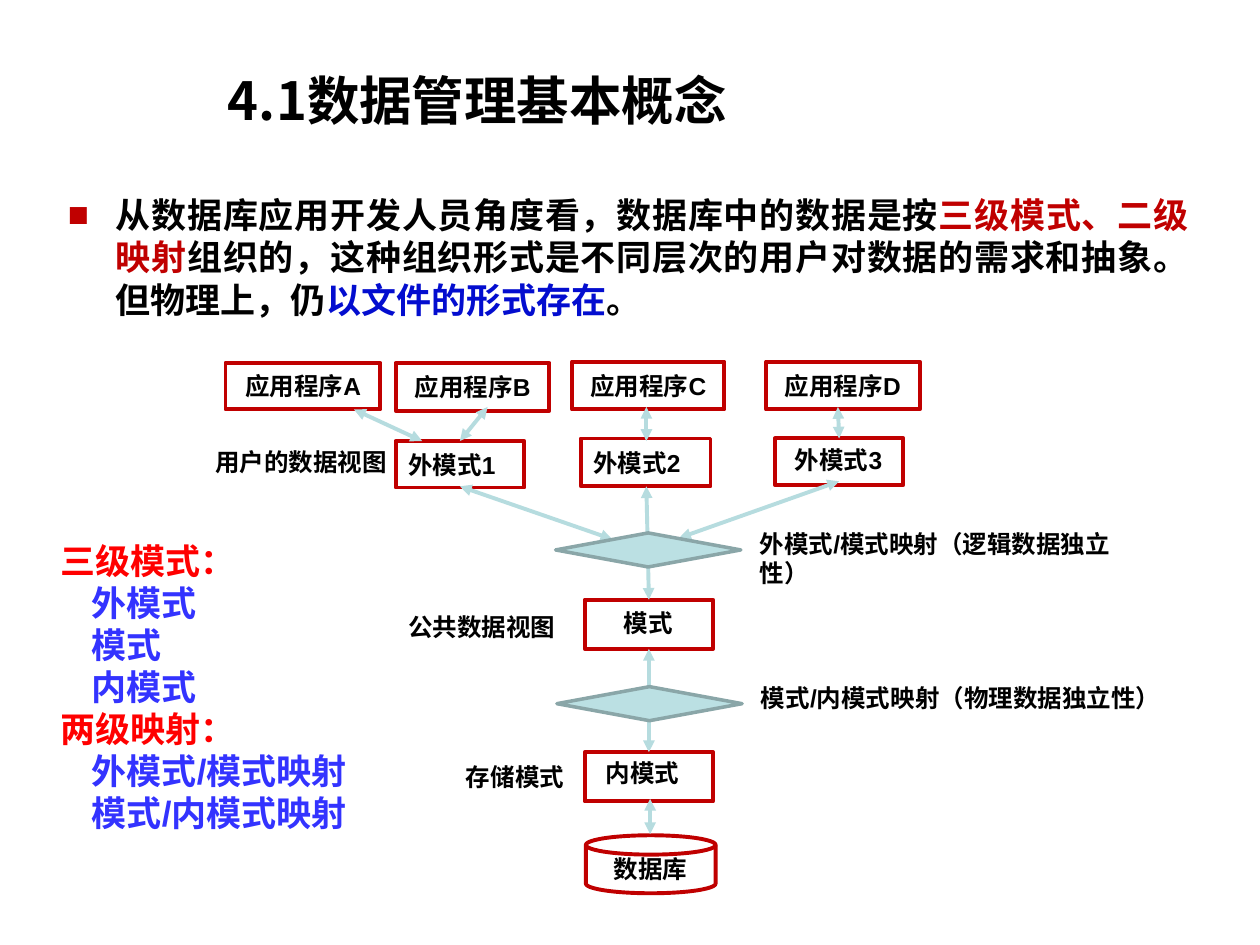
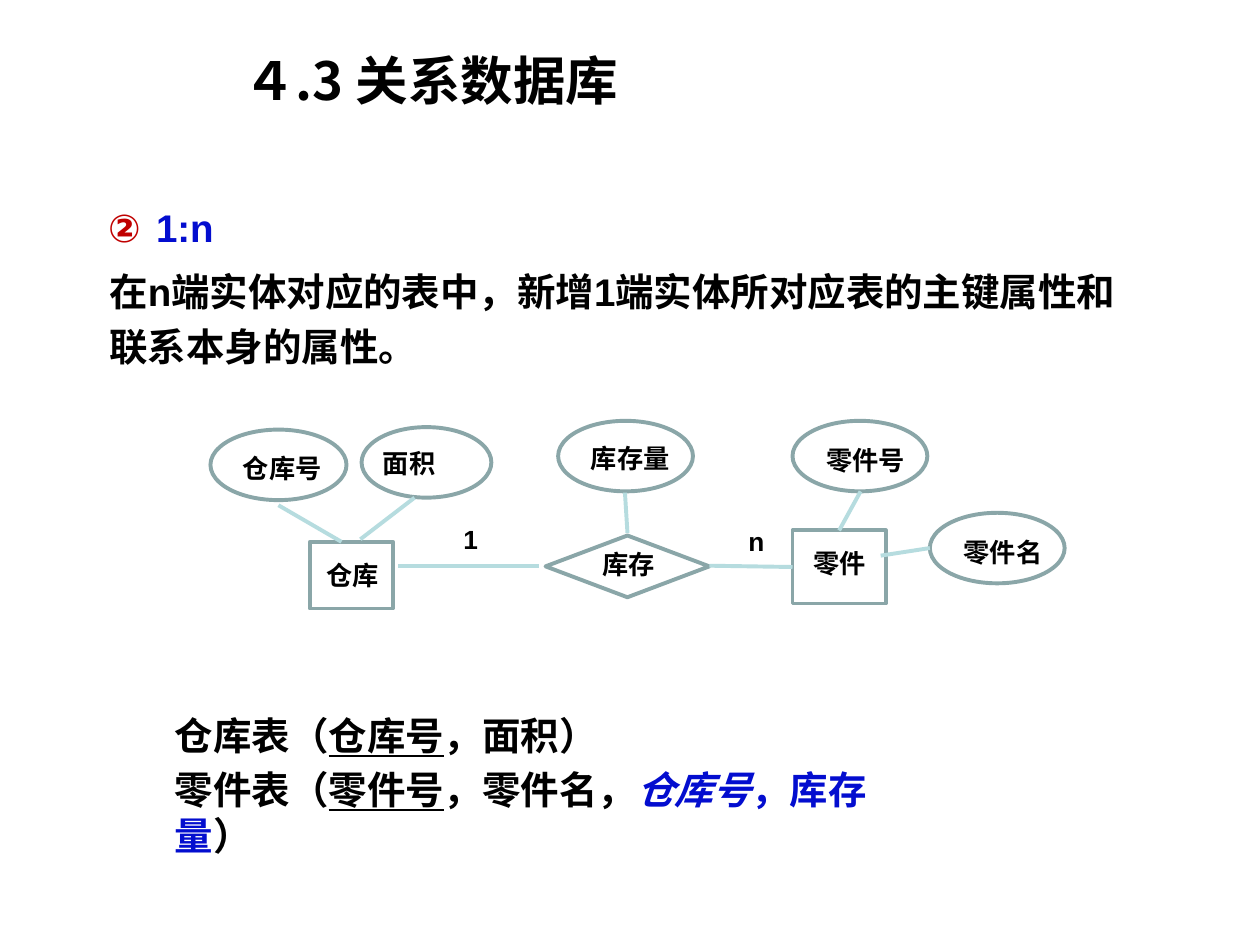
from dataclasses import dataclass

from lxml import etree
from pptx import Presentation
from pptx.dml.color import RGBColor
from pptx.enum.shapes import MSO_CONNECTOR, MSO_SHAPE
from pptx.enum.text import MSO_ANCHOR, MSO_AUTO_SIZE, PP_ALIGN
from pptx.oxml.ns import qn
from pptx.util import Inches, Pt

STRAIGHT = MSO_CONNECTOR.STRAIGHT
RECTANGLE, ELLIPSE = MSO_SHAPE.RECTANGLE, MSO_SHAPE.OVAL
DIAMOND, DECISION = MSO_SHAPE.DIAMOND, MSO_SHAPE.FLOWCHART_DECISION
DISK = MSO_SHAPE.FLOWCHART_MAGNETIC_DISK
TOP, MIDDLE = MSO_ANCHOR.TOP, MSO_ANCHOR.MIDDLE
LEFT, CENTER, JUSTIFY = PP_ALIGN.LEFT, PP_ALIGN.CENTER, PP_ALIGN.JUSTIFY
FIT_SHAPE, NO_FIT = MSO_AUTO_SIZE.SHAPE_TO_FIT_TEXT, MSO_AUTO_SIZE.NONE


@dataclass(frozen=True)
class Theme:
    black: str = "000000"
    crimson: str = "C00000"
    navy: str = "030DCF"
    red: str = "FF0000"
    violet: str = "3333FF"
    pale: str = "B6DCDF"
    mapping: str = "BBE0E3"
    slate: str = "8AA6A8"
    text_font: str = "Arial"
    body_font: str = "Quicksand"
    title_font: str = "Noto Sans CJK SC"
    title_size: int = 30
    relation_size: int = 22
    body_size: int = 20
    entity_size: int = 15
    box_size: int = 14
    line_width: float = 2.25


THEME = Theme()


def apply_format(target, values):
    for attribute, value in values.items():
        setattr(target, attribute, value)


def add_bullet(paragraph, tag, color, **attributes):
    properties = paragraph._p.get_or_add_pPr()
    bullet_color = etree.SubElement(properties, qn("a:buClr"))
    etree.SubElement(bullet_color, qn("a:srgbClr"), val=color)
    etree.SubElement(properties, qn("a:buFont"), typeface=THEME.text_font)
    etree.SubElement(properties, qn(tag), **attributes)


def indent(paragraph, left, first=0):
    properties = paragraph._p.get_or_add_pPr()
    properties.set("marL", str(Inches(left)))
    properties.set("indent", str(Inches(first)))


def write(paragraph, runs, size, font=THEME.text_font, **layout):
    apply_format(paragraph, layout)
    for text, color, *extra in runs:
        run = paragraph.add_run()
        run.text = text
        run.font.color.rgb = RGBColor.from_string(color)
        values = {"name": font, "size": Pt(size), "bold": True}
        for style in extra:
            values[style] = True
        apply_format(run.font, values)


def add_text_box(slide, box, wrap=True, fit=FIT_SHAPE, anchor=TOP):
    frame = slide.shapes.add_textbox(*map(Inches, box)).text_frame
    apply_format(frame, {"word_wrap": wrap, "auto_size": fit, "vertical_anchor": anchor})
    return frame


def add_label(slide, box, text, size=THEME.box_size, font=THEME.text_font, wrap=True):
    frame = add_text_box(slide, box, wrap)
    write(frame.paragraphs[0], [(text, THEME.black)], size, font)


def add_title(slide, box, text, **layout):
    frame = add_text_box(slide, box, fit=NO_FIT, anchor=MIDDLE)
    write(frame.paragraphs[0], [(text, THEME.black)], THEME.title_size,
          THEME.title_font, alignment=CENTER, **layout)


def add_node(slide, kind, box, line, text="", align=CENTER, fill=None, width=THEME.line_width):
    node = slide.shapes.add_shape(kind, *map(Inches, box))
    node.shadow.inherit = False
    if fill:
        node.fill.solid()
        node.fill.fore_color.rgb = RGBColor.from_string(fill)
    else:
        node.fill.background()
    node.line.color.rgb = RGBColor.from_string(line)
    node.line.width = Pt(width)
    if text:
        apply_format(node.text_frame, {"word_wrap": True, "vertical_anchor": MIDDLE})
        write(node.text_frame.paragraphs[0], [(text, THEME.black)], THEME.box_size,
              alignment=align)


def add_link(slide, start_x, start_y, end_x, end_y, arrows=False):
    link = slide.shapes.add_connector(STRAIGHT, *map(Inches, (start_x, start_y, end_x, end_y)))
    link.line.color.rgb = RGBColor.from_string(THEME.pale)
    link.line.width = Pt(THEME.line_width)
    if arrows:
        outline = link.line._get_or_add_ln()
        for end in ("a:headEnd", "a:tailEnd"):
            etree.SubElement(outline, qn(end), type="triangle")
    etree.SubElement(link._element.spPr, qn("a:effectLst"))


def add_schema_summary(slide):
    frame = add_text_box(slide, (0.38, 4.23, 2.84, 2.46))
    groups = {"三级模式：": ("外模式", "模式", "内模式"),
              "两级映射：": ("外模式/模式映射", "模式/内模式映射")}
    lines = []
    for heading, items in groups.items():
        lines.append((heading, THEME.red, 0))
        lines += [(item, THEME.violet, 0.25) for item in items]
    for index, (text, color, left) in enumerate(lines):
        paragraph = frame.add_paragraph() if index else frame.paragraphs[0]
        indent(paragraph, left)
        write(paragraph, [(text, color)], THEME.body_size)


def build_schema_slide(slide):
    organisation = add_text_box(slide, (0.44, 1.49, 9.09, 1.11)).paragraphs[0]
    indent(organisation, 0.38, -0.38)
    add_bullet(organisation, "a:buChar", THEME.crimson, char="■")
    write(organisation, [
        ("从数据库应用开发人员角度看，数据库中的数据是按", THEME.black),
        ("三级模式、二级映射", THEME.crimson),
        ("组织的，这种组织形式是不同层次的用户对数据的需求和抽象。但物理上，仍", THEME.black),
        ("以文件的形式存在", THEME.navy),
        ("。", THEME.black)], THEME.body_size, THEME.body_font, alignment=JUSTIFY)

    links = [
        (5.15, 5.97, 5.15, 5.15), (5.39, 4.27, 6.66, 3.82), (3.65, 3.86, 4.86, 4.28),
        (5.16, 6.62, 5.16, 6.34), (5.13, 3.86, 5.15, 4.76), (2.81, 3.25, 3.35, 3.5),
        (3.87, 3.23, 3.65, 3.5), (5.13, 3.23, 5.13, 3.5), (6.65, 3.23, 6.66, 3.48)]
    nodes = [
        (RECTANGLE, (1.79, 2.88, 1.23, 0.37), "应用程序A", CENTER),
        (RECTANGLE, (3.14, 2.88, 1.22, 0.38), "应用程序B", CENTER),
        (RECTANGLE, (4.54, 2.87, 1.21, 0.38), "应用程序C", CENTER),
        (RECTANGLE, (6.08, 2.87, 1.22, 0.38), "应用程序D", CENTER),
        (RECTANGLE, (3.14, 3.5, 1.02, 0.37), "外模式1", LEFT),
        (RECTANGLE, (4.61, 3.48, 1.03, 0.38), "外模式2", LEFT),
        (RECTANGLE, (6.15, 3.48, 1.02, 0.37), "", LEFT),
        (RECTANGLE, (4.64, 4.76, 1.02, 0.39), "", LEFT),
        (RECTANGLE, (4.64, 5.97, 1.02, 0.39), "", LEFT),
        (DISK, (4.65, 6.63, 1.03, 0.46), "数据库", CENTER)]
    for kind, box, text, align in nodes:
        add_node(slide, kind, box, THEME.crimson, text, align)
    for link in links:
        add_link(slide, *link, arrows=True)
    for left, top in ((4.41, 4.23), (4.42, 5.45)):
        add_node(slide, DIAMOND, (left, top, 1.47, 0.27), THEME.slate,
                 fill=THEME.mapping, width=2)

    labels = [
        (6.21, 3.48, 1.1, "外模式3"), (4.71, 5.97, 0.96, "内模式"),
        (5.93, 4.15, 3.31, "外模式/模式映射（逻辑数据独立性）"),
        (5.94, 5.37, 3.38, "模式/内模式映射（物理数据独立性）"),
        (1.61, 3.5, 1.66, "用户的数据视图"), (3.14, 4.81, 1.68, "公共数据视图"),
        (3.6, 6, 1, "存储模式")]
    for left, top, width, text in labels:
        add_label(slide, (left, top, width, 0.34), text)
    add_label(slide, (4.85, 4.78, 0.59, 0.34), "模式", font=THEME.body_font, wrap=False)
    add_title(slide, (0.49, 0.33, 6.6, 0.62), "4.1数据管理基本概念", line_spacing=1.6)
    add_schema_summary(slide)


def add_mapping_rule(slide):
    frame = add_text_box(slide, (0.44, 1.5, 8.81, 1.46))
    ratio, rule = frame.paragraphs[0], frame.add_paragraph()
    indent(ratio, 0.7, -0.38)
    add_bullet(ratio, "a:buAutoNum", THEME.crimson, type="circleNumDbPlain", startAt="2")
    write(ratio, [("1:n", THEME.navy)], THEME.relation_size, line_spacing=1.2)
    indent(rule, 0.33)
    write(rule, [("在n端实体对应的表中，新增1端实体所对应表的主键属性和联系本身的属性。",
                  THEME.black)],
          THEME.relation_size, line_spacing=1.2, space_before=Pt(4.5))


def add_relation_tables(slide):
    frame = add_text_box(slide, (1.29, 5.6, 6.11, 0.91))
    warehouse, part = frame.paragraphs[0], frame.add_paragraph()
    write(warehouse, [("仓库表（", THEME.black), ("仓库号", THEME.black, "underline"),
                      ("，面积）", THEME.black)], THEME.relation_size, THEME.body_font)
    write(part, [("零件表（", THEME.black), ("零件号", THEME.black, "underline"),
                 ("，零件名，", THEME.black), ("仓库号", THEME.navy, "italic"),
                 ("，库存量", THEME.navy), ("）", THEME.black)],
          THEME.relation_size, THEME.body_font, space_before=Pt(4.5))


def build_relation_slide(slide):
    add_mapping_rule(slide)
    nodes = [
        (RECTANGLE, (2.46, 4.3, 0.66, 0.53), "仓库", (2.49, 4.39, 0.89)),
        (RECTANGLE, (6.29, 4.21, 0.74, 0.58), "零件", (6.36, 4.29, 0.89)),
        (DECISION, (4.33, 4.25, 1.3, 0.49), "库存", (4.68, 4.3, 0.66)),
        (ELLIPSE, (1.67, 3.41, 1.08, 0.56), "仓库号", (1.83, 3.54, 1.01)),
        (ELLIPSE, (2.87, 3.39, 1.03, 0.56), "面积", (2.94, 3.5, 1.14)),
        (ELLIPSE, (4.43, 3.34, 1.07, 0.56), "库存量", (4.59, 3.46, 1.01)),
        (ELLIPSE, (6.29, 3.34, 1.07, 0.56), "零件号", (6.46, 3.48, 1.01)),
        (ELLIPSE, (7.38, 4.07, 1.07, 0.56), "零件名", (7.55, 4.21, 1.01))]
    labels = [("1", (3.58, 4.1, 0.32)), ("n", (5.84, 4.12, 0.32))]
    for kind, box, text, place in nodes:
        add_node(slide, kind, box, THEME.slate)
        labels.append((text, place))
    links = [
        (3.16, 4.49, 4.28, 4.49), (5.63, 4.49, 6.29, 4.5), (2.21, 4.01, 2.71, 4.3),
        (3.29, 3.95, 2.86, 4.28), (6.83, 3.9, 6.66, 4.21), (4.96, 3.91, 4.98, 4.23),
        (7.38, 4.35, 6.99, 4.41)]
    for link in links:
        add_link(slide, *link)
    for text, place in labels:
        add_label(slide, (*place, 0.35), text, THEME.entity_size)
    add_relation_tables(slide)
    add_title(slide, (1.29, 0.35, 4.26, 0.57), "４.3 关系数据库")


def main():
    deck = Presentation()
    apply_format(deck, {"slide_width": Inches(10), "slide_height": Inches(7.5)})
    blank = deck.slide_layouts[6]
    for build in (build_schema_slide, build_relation_slide):
        build(deck.slides.add_slide(blank))
    deck.save("out.pptx")


if __name__ == "__main__":
    main()
